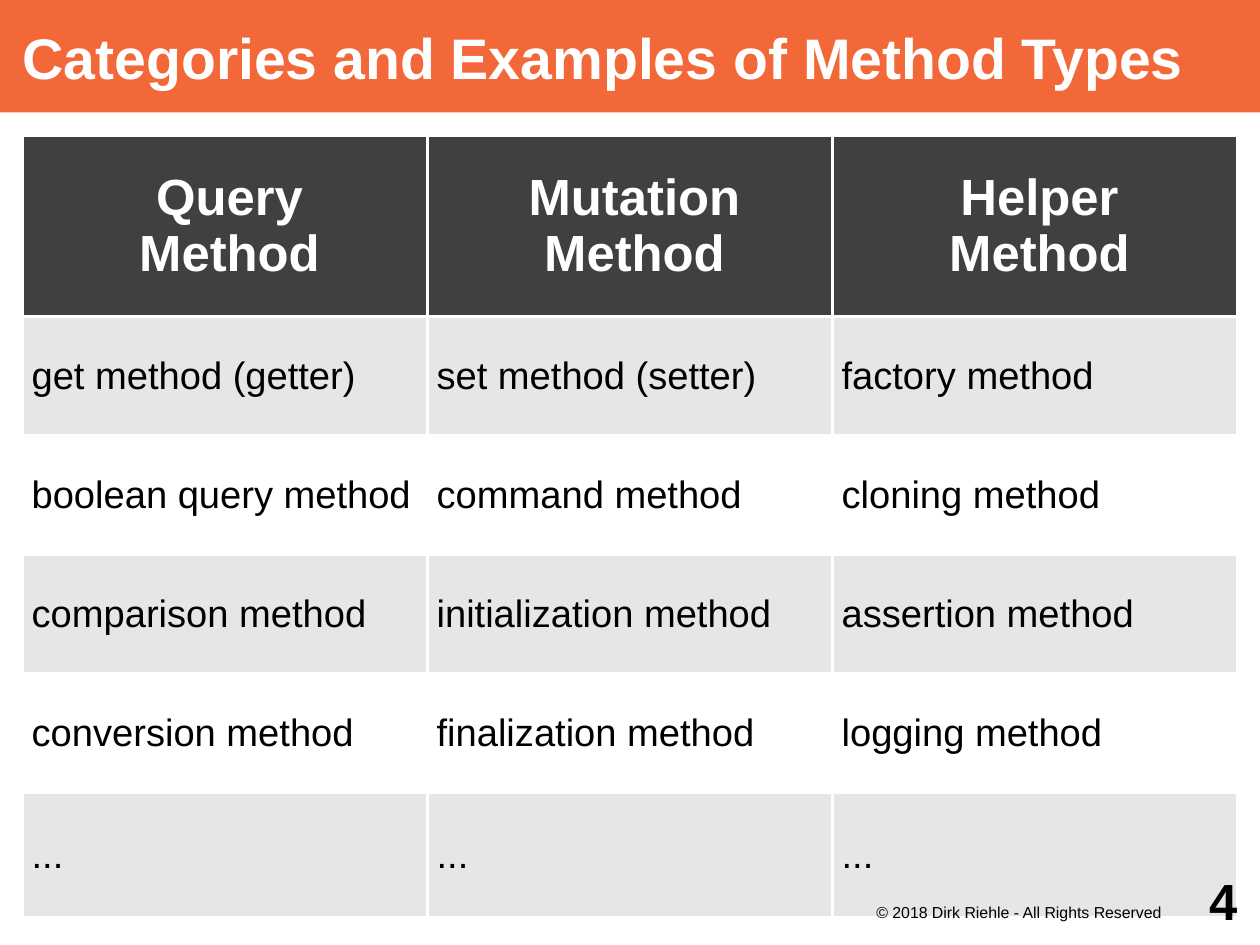
from dataclasses import dataclass

from lxml import etree
from pptx import Presentation
from pptx.dml.color import RGBColor
from pptx.enum.text import MSO_ANCHOR, MSO_AUTO_SIZE, PP_ALIGN
from pptx.oxml.ns import qn
from pptx.util import Pt

LEFT, CENTER, RIGHT = PP_ALIGN.LEFT, PP_ALIGN.CENTER, PP_ALIGN.RIGHT
TOP, MIDDLE = MSO_ANCHOR.TOP, MSO_ANCHOR.MIDDLE
NO_AUTOFIT = MSO_AUTO_SIZE.NONE
TITLE_ONLY = 5


@dataclass(frozen=True)
class Theme:
    font: str = "Arial"
    banner: str = "F36838"
    header: str = "404040"
    band: str = "E6E6E6"
    white: str = "FFFFFF"
    black: str = "000000"
    title_size: int = 36
    header_size: int = 32
    body_size: int = 24
    notice_size: int = 10
    number_size: int = 32


THEME = Theme()
SLIDE_WIDTH, SLIDE_HEIGHT = 793.7, 595.28
BANNER_HEIGHT = 70.87
MARGIN = 14.17
COLUMN_WIDTH = 255.12
ROW_HEIGHTS = [114.5, 74.9, 74.9, 74.9, 74.9, 79.2]
BORDER_WIDTH = 2.27
HEADER_INDENT = 5.76
CELL_FORMAT = {
    "margin_left": Pt(5.76),
    "margin_right": Pt(5.76),
    "margin_top": Pt(3.6),
    "margin_bottom": Pt(3.6),
    "vertical_anchor": MIDDLE,
}

METHOD_TYPES = [
    ["Query\nMethod", "Mutation Method", "Helper\nMethod"],
    ["get method (getter)", "set method (setter)", "factory method"],
    ["boolean query method", "command method", "cloning method"],
    ["comparison method", "initialization method", "assertion method"],
    ["conversion method", "finalization method", "logging method"],
    ["...", "...", "..."],
]


def apply_format(target, values):
    for attribute, value in values.items():
        setattr(target, attribute, value)


def write_text(frame, text, size, color, bold=False, align=LEFT):
    frame.text = text
    for paragraph in frame.paragraphs:
        paragraph.alignment = align
        for run in paragraph.runs:
            apply_format(run.font, {"name": THEME.font, "size": Pt(size), "bold": bold})
            run.font.color.rgb = RGBColor.from_string(color)


def fill_solid(target, color):
    target.fill.solid()
    target.fill.fore_color.rgb = RGBColor.from_string(color)


def set_frame(frame, insets, anchor):
    left, top, right, bottom = insets
    apply_format(frame, {
        "margin_left": Pt(left),
        "margin_top": Pt(top),
        "margin_right": Pt(right),
        "margin_bottom": Pt(bottom),
        "vertical_anchor": anchor,
        "word_wrap": True,
        "auto_size": NO_AUTOFIT,
    })


def add_title(slide, text):
    title = slide.shapes.title
    apply_format(title, {
        "left": Pt(0),
        "top": Pt(0),
        "width": Pt(SLIDE_WIDTH),
        "height": Pt(BANNER_HEIGHT),
    })
    fill_solid(title, THEME.banner)
    set_frame(title.text_frame, (MARGIN, 0, 0, 0), MIDDLE)
    write_text(title.text_frame, text, THEME.title_size, THEME.white, bold=True)


def add_borders(cell):
    properties = cell._tc.get_or_add_tcPr()
    for side in ("a:lnL", "a:lnR", "a:lnT", "a:lnB"):
        line = etree.SubElement(properties, qn(side), w=str(Pt(BORDER_WIDTH)))
        solid = etree.SubElement(line, qn("a:solidFill"))
        etree.SubElement(solid, qn("a:srgbClr"), val=THEME.white)


def format_cell(cell, text, row):
    apply_format(cell, CELL_FORMAT)
    add_borders(cell)
    if row == 0:
        fill_solid(cell, THEME.header)
        write_text(cell.text_frame, text, THEME.header_size, THEME.white, True, CENTER)
        for paragraph in cell.text_frame.paragraphs:
            paragraph._p.get_or_add_pPr().set("marL", str(Pt(HEADER_INDENT)))
    else:
        fill_solid(cell, THEME.band if row % 2 else THEME.white)
        write_text(cell.text_frame, text, THEME.body_size, THEME.black)


def add_method_table(slide, content):
    column_count = len(content[0])
    table = slide.shapes.add_table(
        len(content), column_count, Pt(MARGIN), Pt(BANNER_HEIGHT + MARGIN),
        Pt(COLUMN_WIDTH * column_count), Pt(sum(ROW_HEIGHTS)),
    ).table
    for column in table.columns:
        column.width = Pt(COLUMN_WIDTH)
    for row, height in zip(table.rows, ROW_HEIGHTS):
        row.height = Pt(height)
    for row, texts in enumerate(content):
        for column, text in enumerate(texts):
            format_cell(table.cell(row, column), text, row)


def add_footer(slide, bounds, text, size, insets, anchor=TOP, bold=False):
    frame = slide.shapes.add_textbox(*map(Pt, bounds)).text_frame
    set_frame(frame, insets, anchor)
    write_text(frame, text, size, THEME.black, bold, RIGHT)


def main():
    presentation = Presentation()
    apply_format(presentation, {
        "slide_width": Pt(SLIDE_WIDTH),
        "slide_height": Pt(SLIDE_HEIGHT),
    })
    slide = presentation.slides.add_slide(presentation.slide_layouts[TITLE_ONLY])
    add_title(slide, "Categories and Examples of Method Types")
    add_method_table(slide, METHOD_TYPES)
    add_footer(slide, (510.5, 566.9, 226.8, 28.3),
               "© 2018 Dirk Riehle - All Rights Reserved",
               THEME.notice_size, (0, 1.44, 5.76, 0))
    add_footer(slide, (722.8, 538.6, 70.87, 56.7), "4",
               THEME.number_size, (0, 0, MARGIN, 0), MIDDLE, bold=True)
    presentation.save("out.pptx")


if __name__ == "__main__":
    main()
